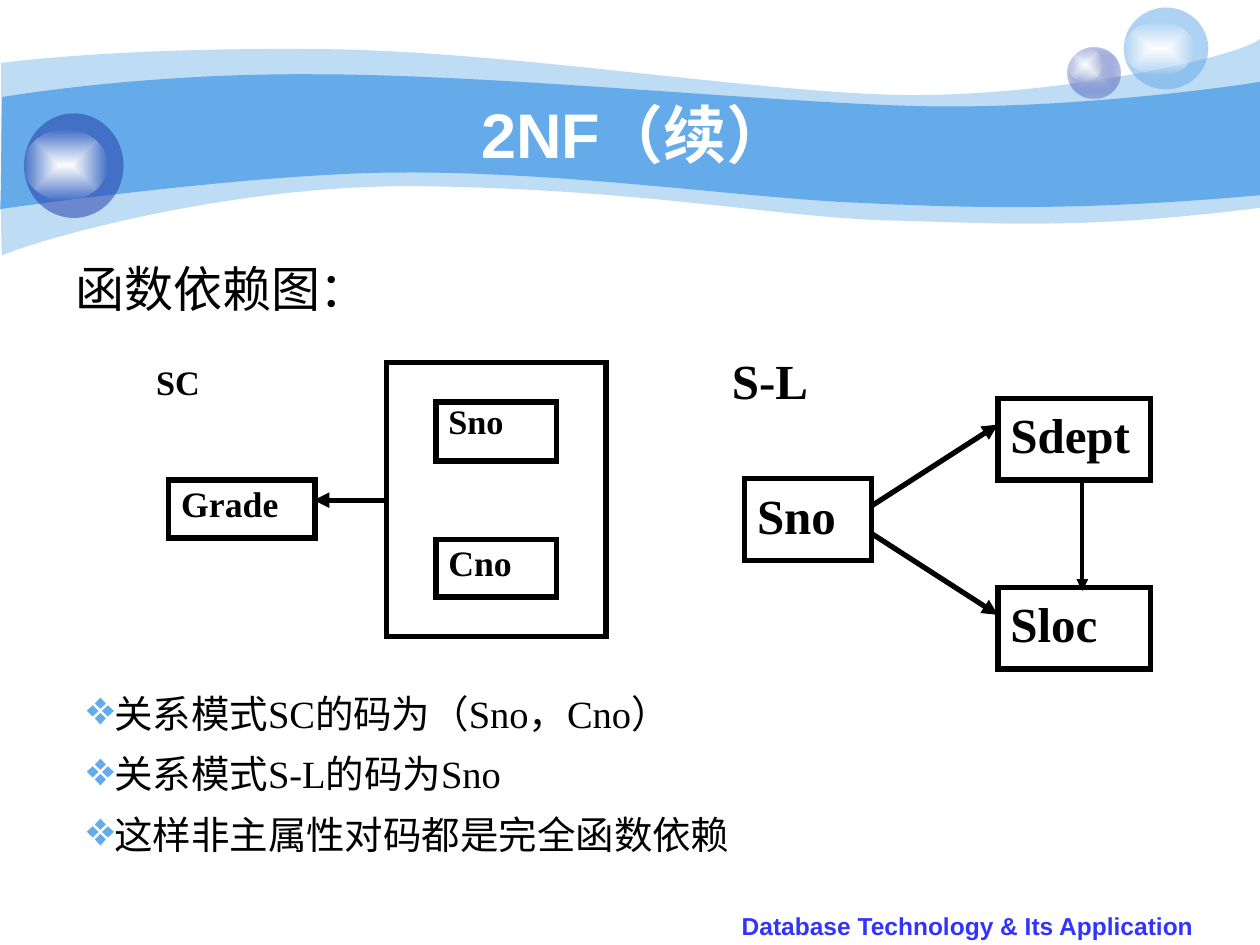
from pptx import Presentation
from pptx.dml.color import RGBColor
from pptx.enum.shapes import MSO_CONNECTOR, MSO_SHAPE
from pptx.enum.text import MSO_ANCHOR, PP_ALIGN
from pptx.oxml import parse_xml
from pptx.oxml.ns import nsdecls, qn
from pptx.util import Inches, Pt

COLORS = {"sky": "65AAE9", "navy": "233DA9", "lilac": "C7CEE9",
          "white": "FFFFFF", "black": "000000", "footer": "3333FF"}

# Each band: opacity, start point, then segments of one point (line) or three (curve)
BANDS = [
    (41, (0.01, 0.5), [
        [(0.25, 0.47), (1.08, 0.38), (2.47, 0.39)],
        [(3.86, 0.39), (5.76, 0.7), (6.99, 0.75)],
        [(8.22, 0.8), (9.8, 0.47), (10, 0.31)],
        [(10, 1.65)],
        [(8.58, 1.83), (7.88, 1.77), (7.05, 1.75)],
        [(6.22, 1.73), (5.15, 1.51), (3.44, 1.48)],
        [(1.72, 1.44), (0.05, 1.99), (0.02, 2.03)],
        [(0, 2.08), (0.01, 0.75), (0.01, 0.5)]]),
    (100, (0.02, 0.77), [
        [(0.03, 0.77), (1.11, 0.58), (2.49, 0.59)],
        [(3.87, 0.59), (5.96, 0.8), (7.19, 0.84)],
        [(8.41, 0.88), (9.76, 0.69), (10, 0.65)],
        [(10, 1.55)],
        [(8.53, 1.68), (7.66, 1.65), (6.82, 1.61)],
        [(5.99, 1.58), (4.48, 1.36), (3.18, 1.37)],
        [(2.04, 1.37), (-0.01, 1.66), (0, 1.66)],
        [(0.01, 1.66), (0.01, 0.77), (0.02, 0.77)]]),
]
SHINE = [("white", 100), ("white", 0)]
# Place, then fill stops as (colour, opacity); one stop is a solid fill
BUBBLES = [
    ((8.47, 0.38, 0.42, 0.4), [("lilac", 100), ("navy", 31)]),
    ((8.47, 0.38, 0.28, 0.27), SHINE),
    ((8.92, 0.06, 0.67, 0.65), [("sky", 53)]),
    ((8.92, 0.17, 0.56, 0.43), SHINE),
    ((0.19, 0.9, 0.79, 0.83), [("navy", 53)]),
    ((0.19, 1.03, 0.66, 0.56), SHINE),
]
# Text, place, size, line spacing
FRAMES = [
    ("", (3.07, 2.88, 1.74, 2.17), 20, 1),
    ("Sno", (3.46, 3.19, 0.96, 0.47), 19.6, 0.8),
    ("Cno", (3.46, 4.28, 0.96, 0.46), 20.4, 0.9),
    ("Grade", (1.34, 3.81, 1.16, 0.46), 20.4, 0.9),
    ("Sno", (5.91, 3.8, 1.01, 0.65), 28, 1),
    ("Sdept", (7.92, 3.16, 1.21, 0.65), 28, 1),
    ("Sloc", (7.92, 4.66, 1.21, 0.65), 28, 1),
]
LABELS = [
    ("SC", (1.14, 2.88, 0.97, 0.46), 19.6, 0.8),
    ("S-L", (5.71, 2.73, 1.21, 0.65), 28, 1),
]
# From, to, width
ARROWS = [
    ((3.07, 3.97), (2.49, 3.97), 3),
    ((6.91, 4.02), (7.92, 3.37), 3),
    ((6.91, 4.23), (7.92, 4.88), 3),
    ((8.59, 3.83), (8.59, 4.69), 2.25),
]
CONCLUSIONS = ["关系模式SC的码为（Sno，Cno）",
               "关系模式S-L的码为Sno",
               "这样非主属性对码都是完全函数依赖"]


def color(name):
    return RGBColor.from_string(COLORS[name])


def inches(values):
    return [Inches(value) for value in values]


def element(tag, content=""):
    """Make a drawing element from its tag with attributes and its inner XML."""
    name = tag.split()[0]
    return parse_xml(f'<a:{tag} {nsdecls("a")}>{content}</a:{name}>')


def write(shape, lines, size, font="Times New Roman", ink="black", bold=False,
          anchor=MSO_ANCHOR.TOP, **layout):
    frame = shape.text_frame
    frame.word_wrap = True
    frame.vertical_anchor = anchor
    for index, line in enumerate(lines):
        para = frame.add_paragraph() if index else frame.paragraphs[0]
        for name, value in layout.items():
            setattr(para, name, value)
        span = para.add_run()
        span.text = line
        for name, value in {"size": Pt(size), "name": font, "bold": bold}.items():
            setattr(span.font, name, value)
        span.font.color.rgb = color(ink)


def paint(shape, stops):
    """Fill with one translucent colour, or with a gradient outward from the centre."""
    shape.shadow.inherit = False
    shape.line.fill.background()
    shape.fill.background()
    tones = [f'<a:srgbClr val="{COLORS[name]}"><a:alpha val="{opacity * 1000}"/></a:srgbClr>'
             for name, opacity in stops]
    if len(tones) == 1:
        fill = element("solidFill", tones[0])
    else:
        marks = "".join(f'<a:gs pos="{index * 100000}">{tone}</a:gs>'
                        for index, tone in enumerate(tones))
        fill = element('gradFill rotWithShape="1"', f'<a:gsLst>{marks}</a:gsLst>'
                       '<a:path path="rect"><a:fillToRect l="50000" t="50000" '
                       'r="50000" b="50000"/></a:path>')
    properties = shape._element.spPr
    properties.replace(properties.find(qn("a:noFill")), fill)


def add_band(page, opacity, start, segments):
    """Draw the points as a polygon, then join each group of three into a curve."""
    builder = page.shapes.build_freeform(*inches(start))
    points = [inches(point) for segment in segments for point in segment]
    builder.add_line_segments(points, close=False)
    band = builder.convert_to_shape()
    outline = band._element.spPr.find(".//" + qn("a:path"))
    steps = iter(outline.findall(qn("a:lnTo")))
    for segment in segments:
        group = [next(steps) for _ in segment]
        if len(group) == 3:
            curve = element("cubicBezTo")
            group[0].addprevious(curve)
            for step in group:
                curve.append(step[0])
                outline.remove(step)
    outline.append(element("close"))
    paint(band, [("sky", opacity)])


def add_frame(page, text, place, size, spacing):
    box = page.shapes.add_shape(MSO_SHAPE.RECTANGLE, *inches(place))
    box.shadow.inherit = False
    box.fill.background()
    box.line.color.rgb = color("black")
    box.line.width = Pt(3)
    box.line._get_or_add_ln().append(element('miter lim="800000"'))
    if text:
        write(box, [text], size, bold=True, alignment=PP_ALIGN.JUSTIFY, line_spacing=spacing)


def add_arrow(page, start, end, width):
    arrow = page.shapes.add_connector(MSO_CONNECTOR.STRAIGHT, *inches(start + end))
    arrow.line.color.rgb = color("black")
    arrow.line.width = Pt(width)
    arrow.line._get_or_add_ln().append(element('tailEnd type="triangle"'))
    arrow._element.spPr.append(element("effectLst"))


def add_text(page, place, lines, size, **style):
    box = page.shapes.add_textbox(*inches(place))
    write(box, lines, size, **style)
    return box


def add_bullets(box):
    for para in box.text_frame.paragraphs:
        properties = para._p.get_or_add_pPr()
        properties.append(element("buClr", f'<a:srgbClr val="{COLORS["sky"]}"/>'))
        properties.append(element('buSzPct val="125000"'))
        properties.append(element('buChar char="❖"'))


def main():
    deck = Presentation()
    deck.slide_width, deck.slide_height = inches((10, 7.5))
    page = deck.slides.add_slide(deck.slide_layouts[6])
    for band in BANDS:
        add_band(page, *band)
    for place, stops in BUBBLES:
        paint(page.shapes.add_shape(MSO_SHAPE.OVAL, *inches(place)), stops)
    add_text(page, (1, 0.75, 8.08, 0.62), ["2NF（续）"], 36, font="Arial", ink="white",
             bold=True, anchor=MSO_ANCHOR.MIDDLE, alignment=PP_ALIGN.CENTER)
    add_text(page, (0.5, 2, 9, 4.92), ["函数依赖图："], 28, font="Arial", space_before=Pt(7))
    for frame in FRAMES:
        add_frame(page, *frame)
    for text, place, size, spacing in LABELS:
        add_text(page, place, [text], size, bold=True,
                 alignment=PP_ALIGN.JUSTIFY, line_spacing=spacing)
    for arrow in ARROWS:
        add_arrow(page, *arrow)
    add_bullets(add_text(page, (0.59, 5.32, 6.69, 1.53), CONCLUSIONS, 22,
                         anchor=MSO_ANCHOR.MIDDLE, line_spacing=1.3))
    add_text(page, (5.71, 7.18, 3.94, 0.35), ["Database Technology & Its Application"], 14,
             font="Arial", ink="footer", bold=True, alignment=PP_ALIGN.CENTER)
    deck.save("out.pptx")


if __name__ == "__main__":
    main()
